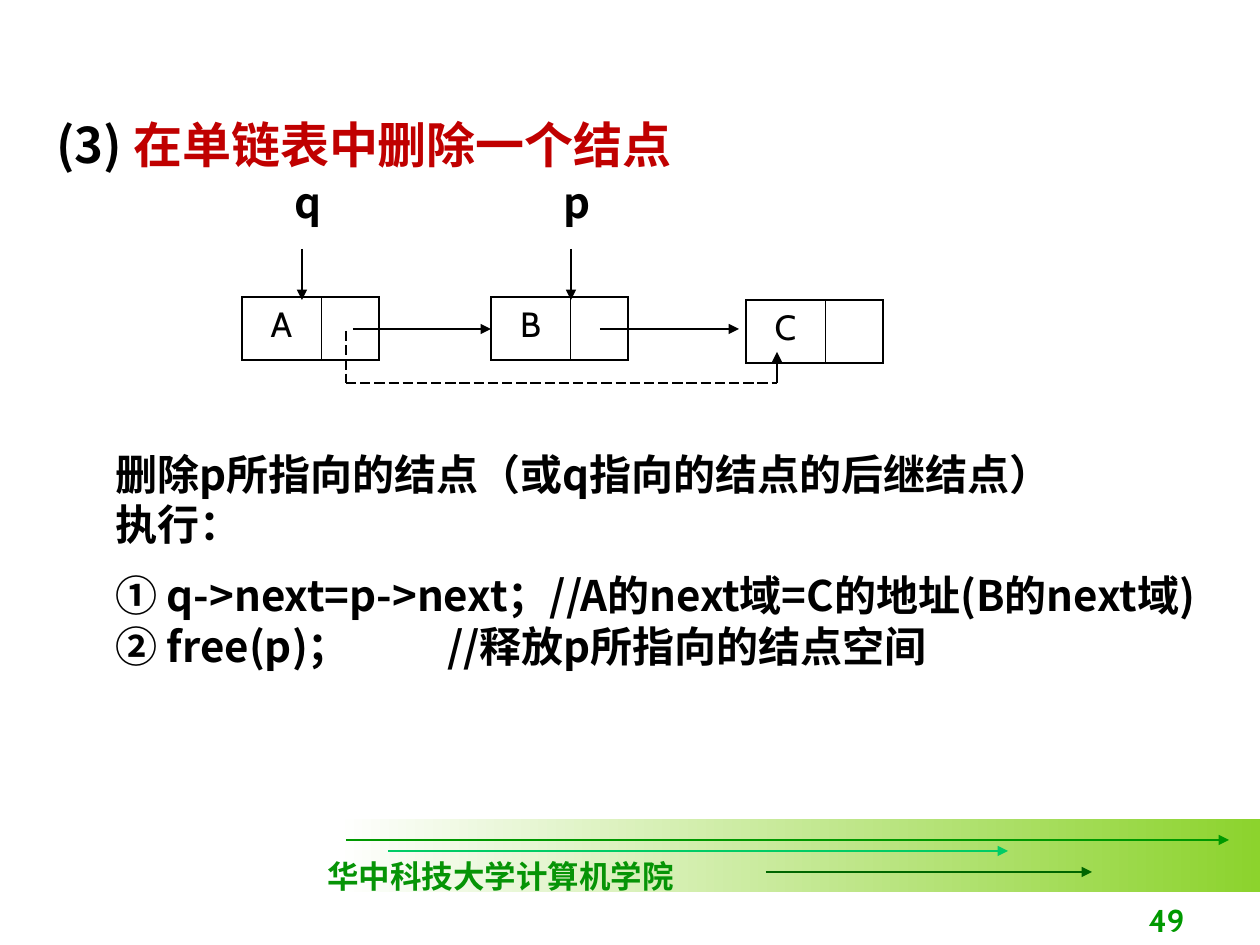
"""Builds a slide on deleting a node from a singly linked list."""
from lxml import etree
from pptx import Presentation
from pptx.dml.color import RGBColor
from pptx.enum.dml import MSO_LINE
from pptx.enum.shapes import MSO_CONNECTOR, MSO_SHAPE
from pptx.enum.text import MSO_ANCHOR, MSO_AUTO_SIZE, PP_ALIGN
from pptx.oxml.ns import qn
from pptx.util import Pt

LEFT, CENTER, RIGHT = PP_ALIGN.LEFT, PP_ALIGN.CENTER, PP_ALIGN.RIGHT
TOP, BOTTOM = MSO_ANCHOR.TOP, MSO_ANCHOR.BOTTOM
STRAIGHT, RECTANGLE = MSO_CONNECTOR.STRAIGHT, MSO_SHAPE.RECTANGLE
LONG_DASH = MSO_LINE.LONG_DASH
GROW = MSO_AUTO_SIZE.SHAPE_TO_FIT_TEXT

SCALE = 914400 / 126
SLIDE_SIZE = 1260, 945
CJK, CABIN, SERIF = "Noto Sans CJK SC", "Cabin", "Times New Roman"
BLACK, RED, GREEN, FOOTER_GREEN = "000000", "C00000", "009900", "069406"

BAND = 336, 819, 924, 73
BAND_COLORS = "FFFFFF", "8CD32D"
BAND_ARROWS = [
    (346, 840, 1229, 840, GREEN),
    (388, 851, 1008, 851, "00CC66"),
    (766, 872, 1092, 872, "006600"),
]

SCHOOL = "华中科技大学计算机学院"
PAGE = "49"
HEADING = [("(3) ", BLACK), ("在单链表中删除一个结点", RED)]
STEPS = [
    ("删除p所指向的结点（或q指向的结点的后继结点）", 0),
    ("执行：", 0),
    ("① q->next=p->next；//A的next域=C的地址(B的next域)", 12),
    ("② free(p)；\t//释放p所指向的结点空间", 0),
]
COMMENT_TAB = 332

NODES = [("A", 242, 297), ("B", 491, 297), ("C", 746, 300)]
DATA_WIDTH, NEXT_WIDTH, NODE_HEIGHT = 79, 58, 63
OUTER, INNER = 1.08, 0.45
POINTERS = [("q", 282, 302), ("p", 551, 571)]
NEXT_ARROWS = [(353, 329, 491, 329), (600, 329, 739, 329), (777, 383, 777, 352)]
BYPASS = [(346, 383, 777, 383), (346, 331, 346, 383)]


def px(length):
    return round(length * SCALE)


def rgb(value):
    return RGBColor.from_string(value)


def style(paragraph, size, face, color, bold=True, align=LEFT):
    paragraph.alignment = align
    font = paragraph.font
    font.size, font.name, font.bold = Pt(size), face, bold
    if color:
        font.color.rgb = rgb(color)
    east_asian = etree.SubElement(font._element, qn("a:ea"))
    east_asian.set("typeface", CJK)


def add_text(slide, box, wrap=True, anchor=TOP, grow=True):
    frame = slide.shapes.add_textbox(*map(px, box)).text_frame
    frame.word_wrap, frame.vertical_anchor = wrap, anchor
    if grow:
        frame.auto_size = GROW
    return frame


def add_label(slide, text, box, size, face, color, align=LEFT, **layout):
    label = add_text(slide, box, **layout).paragraphs[0]
    label.text = text
    style(label, size, face, color, align=align)


def add_line(slide, ends, color=BLACK, dash=None, arrow=True):
    connector = slide.shapes.add_connector(STRAIGHT, *map(px, ends))
    line = connector.line
    line.color.rgb, line.width = rgb(color), Pt(0.75)
    if dash:
        line.dash_style = dash
    if arrow:
        etree.SubElement(line._ln, qn("a:tailEnd")).set("type", "triangle")
    etree.SubElement(connector._element.spPr, qn("a:effectLst"))


def add_borders(cell, widths):
    properties = cell._tc.get_or_add_tcPr()
    for side, width in zip("LRTB", widths):
        border = etree.SubElement(properties, qn(f"a:ln{side}"), w=str(Pt(width)))
        fill = etree.SubElement(border, qn("a:solidFill"))
        etree.SubElement(fill, qn("a:srgbClr"), val=BLACK)


def add_node(slide, name, left, top):
    box = left, top, DATA_WIDTH + NEXT_WIDTH, NODE_HEIGHT
    table = slide.shapes.add_table(1, 2, *map(px, box)).table
    table.first_row = table.horz_banding = False
    columns = [
        (name, DATA_WIDTH, (OUTER, INNER, OUTER, OUTER)),
        ("", NEXT_WIDTH, (INNER, OUTER, OUTER, OUTER)),
    ]
    for index, (text, width, borders) in enumerate(columns):
        table.columns[index].width = px(width)
        cell = table.cell(0, index)
        cell.text = text
        style(cell.text_frame.paragraphs[0], 20, CABIN, BLACK, False, CENTER)
        add_borders(cell, borders)
        cell.fill.background()


def add_footer(slide):
    band = slide.shapes.add_shape(RECTANGLE, *map(px, BAND))
    band.shadow.inherit = False
    band.line.fill.background()
    band.fill.gradient()
    band.fill.gradient_angle = 0
    for position, (stop, color) in enumerate(zip(band.fill.gradient_stops, BAND_COLORS)):
        stop.position, stop.color.rgb = position, rgb(color)
    for *ends, color in BAND_ARROWS:
        add_line(slide, ends, color)
    add_label(slide, SCHOOL, (315, 851, 372, 50), 18, SERIF, FOOTER_GREEN, wrap=False)
    add_label(slide, PAGE, (935, 882, 262, 63), 18, CABIN, GREEN, RIGHT,
              anchor=BOTTOM, grow=False)


def add_list_diagram(slide):
    for node in NODES:
        add_node(slide, *node)
    for ends in BYPASS:
        add_line(slide, ends, dash=LONG_DASH, arrow=False)
    for ends in NEXT_ARROWS:
        add_line(slide, ends)
    for name, left, arrow_x in POINTERS:
        add_label(slide, name, (left, 170, 49, 63), 24, CJK, BLACK)
        add_line(slide, (arrow_x, 249, arrow_x, 300))


def add_heading(slide):
    heading = add_text(slide, (44, 108, 1032, 72)).paragraphs[0]
    style(heading, 28, CJK, None)
    for text, color in HEADING:
        run = heading.add_run()
        run.text = text
        run.font.color.rgb = rgb(color)


def add_steps(slide):
    frame = add_text(slide, (103, 442, 1111, 363))
    for index, (text, gap) in enumerate(STEPS):
        step = frame.add_paragraph() if index else frame.paragraphs[0]
        step.text = text
        if gap:
            step.space_before = Pt(gap)
        if "\t" in text:
            tabs = etree.SubElement(step._p.get_or_add_pPr(), qn("a:tabLst"))
            etree.SubElement(tabs, qn("a:tab"), pos=str(px(COMMENT_TAB)), algn="l")
        style(step, 24, CJK, BLACK)


def main():
    deck = Presentation()
    deck.slide_width, deck.slide_height = map(px, SLIDE_SIZE)
    slide = deck.slides.add_slide(deck.slide_layouts[6])
    add_footer(slide)
    add_list_diagram(slide)
    add_heading(slide)
    add_steps(slide)
    deck.save("out.pptx")


if __name__ == "__main__":
    main()
